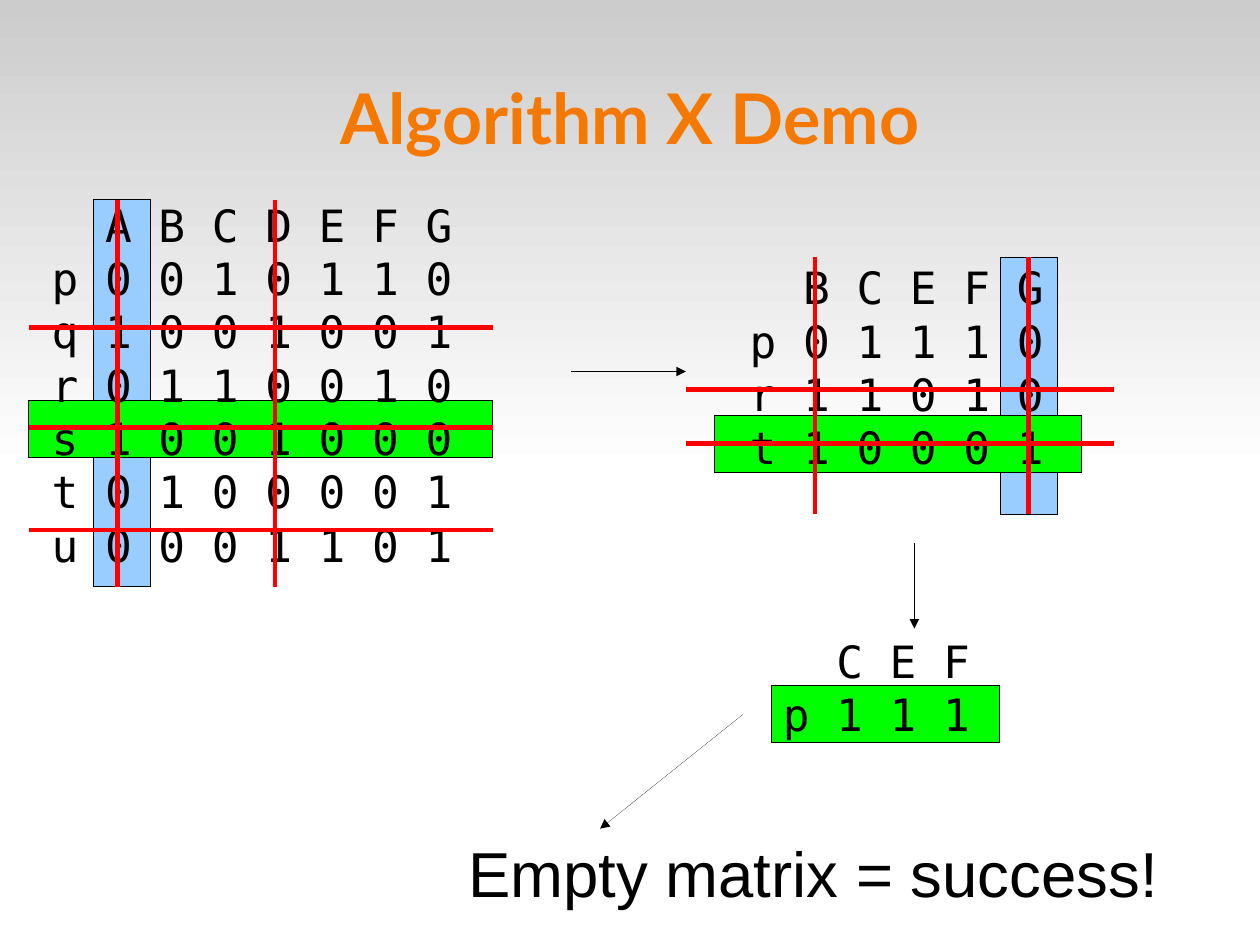
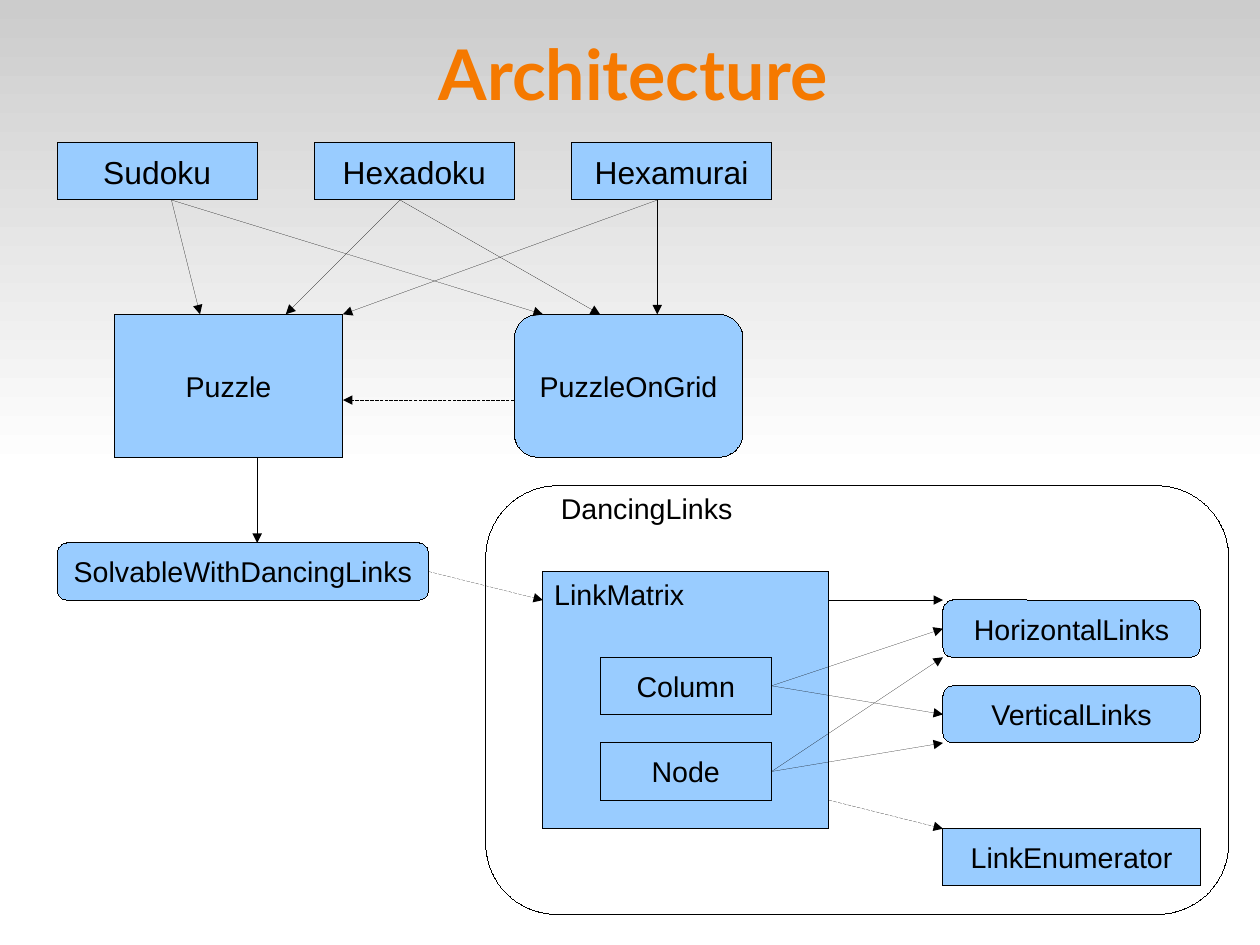
from pptx import Presentation
from pptx.dml.color import RGBColor
from pptx.enum import dml, shapes, text
from pptx.oxml.ns import qn
from pptx import util as u
from lxml import etree

WIDE, HIGH = 793.7, 595.28
HAIR = 0.01  # a width of zero would fall back to the theme's line
BLUE, GREEN, RED = "99CCFF", "00FF00", "FF0000"
BLACK, ORANGE, GRAY, WHITE = "000000", "F57900", "CCCCCC", "FFFFFF"
BODY, MONO, HEAD = "Arial", "DejaVu Sans Mono", "Lato"
CHAR = 16.86  # width of one 28 pt monospaced character
PAD = 7.2
RECT, ROUND = shapes.MSO_SHAPE.RECTANGLE, shapes.MSO_SHAPE.ROUNDED_RECTANGLE
LEFT, MID, RIGHT = text.PP_ALIGN.LEFT, text.PP_ALIGN.CENTER, text.PP_ALIGN.RIGHT

# Each matrix: text corner, rows, coloured bars, struck columns and rows,
# and the area (left, top, right, bottom) that the strikes span.
MATRICES = [
    dict(at=(24.8, 121),
         rows=["A B C D E F G", "p 0 0 1 0 1 1 0", "q 1 0 0 1 0 0 1",
               "r 0 1 1 0 0 1 0", "s 1 0 0 1 0 0 0", "t 0 1 0 0 0 0 1",
               "u 0 0 0 1 1 0 1"],
         bars=[((59, 125.7, 36, 244), BLUE), ((18, 252, 292.5, 36), GREEN)],
         cols=[74, 173.3], cuts=[206.5, 269.3, 334], area=(18, 126, 310.7, 370)),
    dict(at=(464.6, 160.5),
         rows=["B C E F G", "p 0 1 1 1 0", "r 1 1 0 1 0", "t 1 0 0 0 1"],
         bars=[((630, 162, 36, 162), BLUE), ((450, 261.5, 231, 36), GREEN)],
         cols=[513.3, 648], cuts=[245.3, 279.3], area=(432, 162, 701.8, 324)),
    dict(at=(485.6, 395.8), rows=["C E F", "p 1 1 1"],
         bars=[((485.8, 431.8, 144, 36), GREEN)],
         cols=[], cuts=[], area=(0, 0, 0, 0)),
]
STEPS = [(360, 234, 432, 234), (576, 342, 576, 396), (468, 450, 378, 522)]

PUZZLES = ["Sudoku", "Hexadoku", "Hexamurai"]
FRAMES = [(ROUND, (306, 306, 468, 270), None), (RECT, (342, 360, 180, 162), BLUE)]
LABELS = [("DancingLinks", (346.2, 305.7, 140, 27)),
          ("LinkMatrix", (342, 359.7, 120, 27))]
PARTS = [
    ("Puzzle", RECT, (72, 198, 144, 90)),
    ("PuzzleOnGrid", ROUND, (324, 198, 144, 90)),
    ("SolvableWithDancingLinks", ROUND, (36, 342, 234, 36)),
    ("Column", RECT, (378, 414, 108, 36)),
    ("Node", RECT, (378, 468, 108, 36)),
    ("HorizontalLinks", ROUND, (594, 378, 162, 36)),
    ("VerticalLinks", ROUND, (594, 432, 162, 36)),
    ("LinkEnumerator", RECT, (594, 522, 162, 36)),
]
SOLID = [
    (108, 126, 126, 198), (108, 126, 342, 198),
    (252, 126, 180, 198), (252, 126, 378, 198),
    (414, 126, 216, 198), (414, 126, 414, 198),
    (162, 288, 162, 342), (522, 378, 594, 378),
    (486, 432, 594, 396), (486, 432, 594, 450),
    (486, 486, 594, 468), (486, 486, 594, 414),
]
DASHED = [(324, 252, 216, 252), (270, 360, 342, 378), (522, 504, 594, 522)]


def rgb(code):
    return RGBColor.from_string(code)


def pts(nums):
    return [u.Pt(n) for n in nums]


def write(shape, lines, size=18, font=BODY, color=BLACK, bold=False,
          align=LEFT, anchor=text.MSO_ANCHOR.TOP, pads=(PAD, 3.6, PAD, 3.6)):
    frame = shape.text_frame
    frame.word_wrap = True
    frame.vertical_anchor = anchor
    (frame.margin_left, frame.margin_top,
     frame.margin_right, frame.margin_bottom) = pts(pads)
    for i, line in enumerate(lines):
        para = frame.add_paragraph() if i else frame.paragraphs[0]
        para.alignment = align
        run = para.add_run()
        run.text = line
        run.font.size, run.font.name, run.font.bold = u.Pt(size), font, bold
        run.font.color.rgb = rgb(color)


def label(slide, box, lines, **style):
    write(slide.shapes.add_textbox(*pts(box)), lines, **style)


def block(slide, box, fill=BLUE, kind=RECT):
    shape = slide.shapes.add_shape(kind, *pts(box))
    shape.shadow.inherit = False
    if fill:
        shape.fill.solid()
        shape.fill.fore_color.rgb = rgb(fill)
    else:
        shape.fill.background()
    shape.line.color.rgb = rgb(BLACK)
    shape.line.width = u.Pt(HAIR)
    return shape


def node(slide, name, box, kind=RECT, size=18):
    write(block(slide, box, kind=kind), [name], size=size, align=MID,
          anchor=text.MSO_ANCHOR.MIDDLE)


def link(slide, ends, color=BLACK, width=HAIR, arrow=True, dash=False):
    line = slide.shapes.add_connector(shapes.MSO_CONNECTOR.STRAIGHT, *pts(ends))
    line.line.color.rgb = rgb(color)
    line.line.width = u.Pt(width)
    if dash:
        line.line.dash_style = dml.MSO_LINE.SQUARE_DOT
    props = line.element.spPr
    if arrow:
        etree.SubElement(props.find(qn("a:ln")), qn("a:tailEnd"), type="triangle")
    etree.SubElement(props, qn("a:effectLst"))


def start(deck, title, left, top):
    """Add a slide with the shared gradient band and title style."""
    slide = deck.slides.add_slide(deck.slide_layouts[6])
    band = block(slide, (0, 0, WIDE, HIGH / 2))
    band.line.fill.background()
    band.fill.gradient()
    band.fill.gradient_angle = 270
    for stop, color in zip(band.fill.gradient_stops, (GRAY, WHITE)):
        stop.color.rgb = rgb(color)
    label(slide, (left, top, 714.3, 92), [title], size=44, font=HEAD, color=ORANGE,
          bold=True, align=MID, anchor=text.MSO_ANCHOR.MIDDLE, pads=(0, 0, 0, 0))
    return slide


def matrix(slide, at, rows, bars, cols, cuts, area):
    """Draw bars, right-aligned rows and red strikes, from back to front."""
    for box, color in bars:
        block(slide, box, color)
    wide = max(map(len, rows)) * CHAR + 2 * PAD
    label(slide, (*at, wide, len(rows) * 32.6 + PAD), rows, size=28, font=MONO,
          align=RIGHT, pads=(0, 3.6, PAD, 3.6))
    left, top, right, low = area
    strikes = [(x, top, x, low) for x in cols] + [(left, y, right, y) for y in cuts]
    for ends in strikes:
        link(slide, ends, RED, 2.89, arrow=False)


def demo(deck):
    slide = start(deck, "Algorithm X Demo", 39.7, 27.5)
    for item in MATRICES:
        matrix(slide, **item)
    for ends in STEPS:
        link(slide, ends)
    label(slide, (288, 521.7, 470, 52), ["Empty matrix = success!"], size=40)


def design(deck):
    slide = start(deck, "Architecture", 41.7, 0)
    for i, name in enumerate(PUZZLES):
        node(slide, name, (36 + 162 * i, 90, 126, 36), size=20)
    for kind, box, fill in FRAMES:
        block(slide, box, fill, kind)
    for name, box in LABELS:
        label(slide, box, [name])
    for name, kind, box in PARTS:
        node(slide, name, box, kind)
    for ends in SOLID:
        link(slide, ends)
    for ends in DASHED:
        link(slide, ends, dash=True)


def main():
    deck = Presentation()
    deck.slide_width, deck.slide_height = pts((WIDE, HIGH))
    demo(deck)
    design(deck)
    deck.save("out.pptx")


if __name__ == "__main__":
    main()
